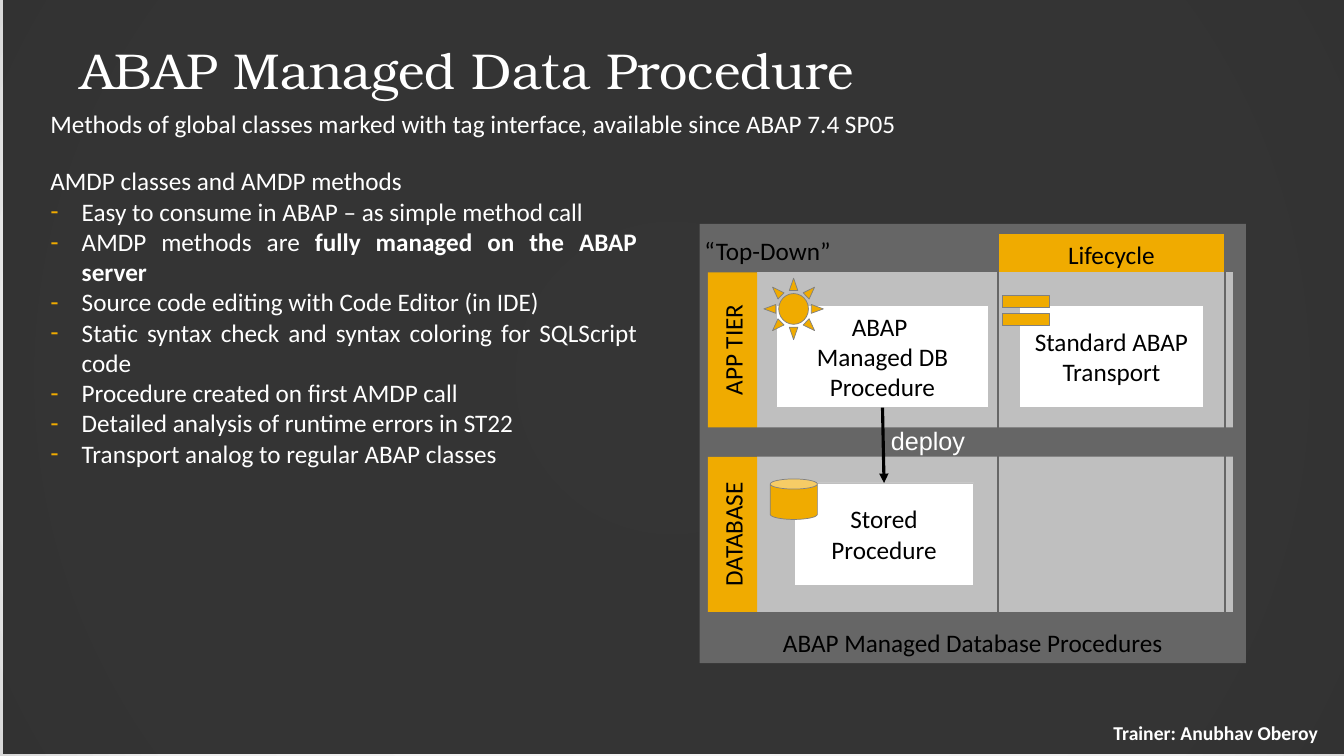
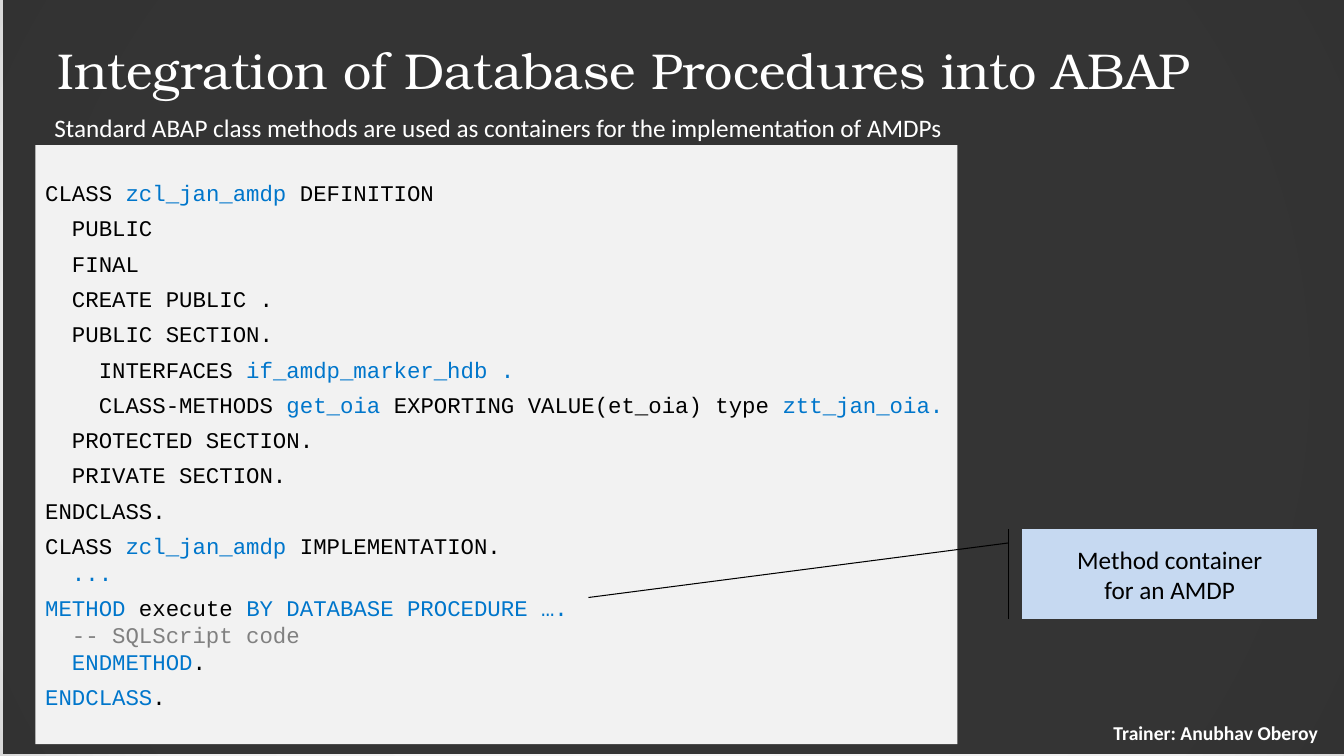
import pptx
import pptx.dml.color
import pptx.enum.dml
import pptx.enum.shapes
import pptx.enum.text
import pptx.oxml
import pptx.oxml.ns
import pptx.util
from lxml import etree

Cm, Pt, qn = pptx.util.Cm, pptx.util.Pt, pptx.oxml.ns.qn
MSO = pptx.enum.shapes.MSO_SHAPE
ALIGN, ANCHOR = pptx.enum.text.PP_ALIGN, pptx.enum.text.MSO_ANCHOR

WHITE, BLACK, DARK, AMBER = "FFFFFF", "000000", "262626", "F0AB00"
SILVER, GREY, EDGE = "BFBFBF", "808080", "666666"
BLUE, PAPER, SKY = "0076CB", "F2F2F2", "C6D9F1"
TITLE_FONT, BODY_FONT, CODE_FONT = "TeX Gyre Bonum", "Calibri", "Courier New"
NO_INSETS, NARROW, NORMAL, TALL, WIDE = (0, 0), (0.1, 0.2), (0.25, 0.13), (0.25, 0.2), (0.33, 0.18)

TRAINER = "Trainer: Anubhav Oberoy"
BACKDROP = [(0, "FFFFFF"), (81, "EEEEEE"), (100, "D9D9D9")]

PROCEDURE = {
    "title": ("ABAP Managed Data Procedure", (1.7, 0.76, 30.48, 1.98)),
    "subtitle": ("Methods of global classes marked with tag interface, available since ABAP 7.4 SP05",
                 (1.02, 2.59, 32.11, 1.02)),
}
LIST_HEAD = "AMDP classes and AMDP methods"
LIST_ITEMS = [  # (plain part, bold part)
    ("Easy to consume in ABAP – as simple method call", ""),
    ("AMDP methods are ", "fully managed on the ABAP server"),
    ("Source code editing with Code Editor (in IDE)", ""),
    ("Static syntax check and syntax coloring for SQLScript code", ""),
    ("Procedure created on first AMDP call", ""),
    ("Detailed analysis of runtime errors in ST22", ""),
    ("Transport analog to regular ABAP classes", ""),
]
LAYERS = ["APP TIER", "DATABASE"]
LAYER_LEFT, LAYER_TOP, LAYER_W, LAYER_H, LAYER_PITCH = 19.08, 6.86, 11.99, 3.91, 4.65
LABEL_H = 1.24
CARD_H = 2.57
CARDS = [  # text, left, top, width, insets
    ("ABAP \nManaged DB Procedure", 19.56, 7.7, 5.36, NARROW),
    ("Standard ABAP Transport", 25.7, 7.7, 4.62, (0.2, 0.2)),
    ("Stored Procedure", 20.02, 12.17, 4.52, TALL),
]
ICONS = [
    (MSO.SUN, (19.25, 7.01, 1.5, 1.55)),
    (MSO.MATH_EQUAL, (25.04, 7.19, 1.63, 1.27)),
    (MSO.CAN, (19.41, 12.07, 1.19, 1.02)),
]
LIFECYCLE = (25.15, 5.87, 5.72)

INTEGRATION = {
    "title": ("Integration of Database Procedures into ABAP", (1.12, 0.76, 30.84, 1.98)),
    "subtitle": ("Standard ABAP class methods are used as containers for the implementation of AMDPs",
                 (1.12, 2.69, 25.4, 1.02)),
}
CODE = [
    [("CLASS", BLACK), (" zcl_jan_amdp ", BLUE), ("DEFINITION", BLACK)],
    [("  PUBLIC", BLACK)],
    [("  FINAL", BLACK)],
    [("  CREATE PUBLIC .", BLACK)],
    [("  PUBLIC SECTION.", BLACK)],
    [("    INTERFACES", BLACK), (" if_amdp_marker_hdb .", BLUE)],
    [("    CLASS-METHODS", BLACK), (" get_oia ", BLUE),
     ("EXPORTING VALUE(et_oia) type ", BLACK), ("ztt_jan_oia.", BLUE)],
    [("  PROTECTED SECTION.", BLACK)],
    [("  PRIVATE SECTION.", BLACK)],
    [("ENDCLASS.", BLACK)],
    [("CLASS", BLACK), (" zcl_jan_amdp ", BLUE), ("IMPLEMENTATION.\n", BLACK), ("  ...", BLUE)],
    [("METHOD", BLUE), (" execute ", BLACK), ("BY DATABASE PROCEDURE ….\n", BLUE),
     ("  -- SQLScript code\n", GREY), ("  ENDMETHOD", BLUE), (".", BLACK)],
    [("ENDCLASS", BLUE), (".", BLACK)],
]
CALLOUT = "Method container\nfor an AMDP"
CALLOUT_POINTS = (0.151, -0.045, 0.76, -1.469)


def rgb(hex_colour):
    return pptx.dml.color.RGBColor.from_string(hex_colour)


def write(p, text, colour=BLACK, size=18, font=BODY_FONT, bold=False):
    """Add text to a paragraph, turning each newline into a line break."""
    for i, part in enumerate(text.split("\n")):
        if i:
            p.add_line_break()
        if part:
            r = p.add_run()
            r.text = part
            r.font.name, r.font.size, r.font.bold = font, Pt(size), bold
            r.font.color.rgb = rgb(colour)


def set_frame(sp, insets=NORMAL, anchor=ANCHOR.MIDDLE, wrap=True):
    tf = sp.text_frame
    tf.auto_size = pptx.enum.text.MSO_AUTO_SIZE.NONE
    tf.word_wrap, tf.vertical_anchor = wrap, anchor
    tf.margin_left = tf.margin_right = Cm(insets[0])
    tf.margin_top = tf.margin_bottom = Cm(insets[1])
    return tf


def place(sp, box):
    sp.left, sp.top, sp.width, sp.height = map(Cm, box)


def add_text(s, text, box, insets=NORMAL, anchor=ANCHOR.TOP, align=ALIGN.LEFT, wrap=True, **style):
    p = set_frame(s.shapes.add_textbox(*map(Cm, box)), insets, anchor, wrap).paragraphs[0]
    p.alignment = align
    write(p, text, **style)


def add_shape(s, kind, box, fill=None, line=None, line_width=0.5, alpha=None,
              text="", insets=NORMAL, anchor=ANCHOR.MIDDLE):
    sp = s.shapes.add_shape(kind, *map(Cm, box))
    sp.shadow.inherit = False
    if fill:
        sp.fill.solid()
        sp.fill.fore_color.rgb = rgb(fill)
    else:
        sp.fill.background()
    if alpha:
        colour = sp.element.xpath("./p:spPr/a:solidFill/a:srgbClr")[0]
        etree.SubElement(colour, qn("a:alpha"), val=str(alpha * 1000))
    if line:
        sp.line.color.rgb = rgb(line)
        sp.line.width = Pt(line_width)
    else:
        sp.line.fill.background()
    if text:
        p = set_frame(sp, insets, anchor).paragraphs[0]
        p.alignment = ALIGN.CENTER
        write(p, text)
    return sp


def set_backdrop(master):
    """Give the master a circular gradient background."""
    master.background.fill.gradient()
    grad = master.element.xpath(".//p:bgPr/a:gradFill")[0]
    for child in list(grad):
        grad.remove(child)
    stops = etree.SubElement(grad, qn("a:gsLst"))
    for position, colour in BACKDROP:
        stop = etree.SubElement(stops, qn("a:gs"), pos=str(position * 1000))
        etree.SubElement(stop, qn("a:srgbClr"), val=colour)
    circle = etree.SubElement(grad, qn("a:path"), path="circle")
    etree.SubElement(circle, qn("a:fillToRect"), {side: "50000" for side in "ltrb"})


def add_slide(prs, layout, content):
    s = prs.slides.add_slide(prs.slide_layouts[layout])
    title = s.shapes.title
    veil = add_shape(s, MSO.RECTANGLE, (0.08, -0.05, 33.87, 19.05), DARK, alpha=93)
    title.element.addprevious(veil.element)
    text, box = content["title"]
    place(title, box)
    p = set_frame(title, WIDE).paragraphs[0]
    p.alignment = ALIGN.LEFT
    write(p, text, WHITE, 36, TITLE_FONT)
    add_text(s, TRAINER, (27.53, 17.98, 6.22, 0.99), WIDE, ANCHOR.MIDDLE, ALIGN.CENTER,
             colour=WHITE, size=14, bold=True)
    add_text(s, *content["subtitle"], colour=WHITE)
    return s


def set_bullet(p, indent, char=None):
    pPr = p._p.get_or_add_pPr()
    pPr.set("marL", str(Cm(indent)))
    pPr.set("indent", str(-Cm(indent)))
    if char:
        colour = etree.SubElement(pPr, qn("a:buClr"))
        etree.SubElement(colour, qn("a:srgbClr"), val=AMBER)
        etree.SubElement(pPr, qn("a:buChar"), char=char)
    else:
        etree.SubElement(pPr, qn("a:buNone"))


def fill_list(body):
    place(body, (1.02, 4.06, 15.29, 7.85))
    tf = set_frame(body)
    for i, (plain, bold) in enumerate([(LIST_HEAD, "")] + LIST_ITEMS):
        p = tf.add_paragraph() if i else tf.paragraphs[0]
        if i:
            set_bullet(p, 0.79, "-")
        else:
            set_bullet(p, 0.5)
        p.alignment, p.space_before = ALIGN.JUSTIFY, Pt(0)
        write(p, plain, WHITE)
        write(p, bold, WHITE, bold=True)


def add_arrow(s, start, end):
    """Join the bottom of one shape to the top of another."""
    c = s.shapes.add_connector(pptx.enum.shapes.MSO_CONNECTOR.STRAIGHT, 0, 0, 0, 0)
    c.begin_connect(start, 2)
    c.end_connect(end, 0)
    c.line.color.rgb = rgb(BLACK)
    c.line.width = Pt(2.25)
    spPr = c.element.spPr
    etree.SubElement(spPr.find(qn("a:ln")), qn("a:tailEnd"), type="triangle")
    etree.SubElement(spPr, qn("a:effectLst"))


def add_diagram(s):
    add_shape(s, MSO.RECTANGLE, (17.63, 5.64, 13.77, 11.07), SILVER, alpha=36,
              text="ABAP Managed Database Procedures", anchor=ANCHOR.BOTTOM)
    add_text(s, "“Top-Down”", (17.75, 5.92, 3.38, 0.76), NO_INSETS, wrap=False)
    add_shape(s, MSO.RECTANGLE, (*LIFECYCLE, 1.07), AMBER, text="Lifecycle", insets=NO_INSETS)
    for i, name in enumerate(LAYERS):
        top = LAYER_TOP + i * LAYER_PITCH
        add_shape(s, MSO.RECTANGLE, (LAYER_LEFT, top, LAYER_W, LAYER_H), SILVER)
        label_box = (LAYER_LEFT - (LAYER_H + LABEL_H) / 2, top + (LAYER_H - LABEL_H) / 2,
                     LAYER_H, LABEL_H)
        add_shape(s, MSO.RECTANGLE, label_box, AMBER, text=name, insets=(0.3, 0.23)).rotation = 270
    managed, _, stored = [
        add_shape(s, MSO.RECTANGLE, (left, top, width, CARD_H), WHITE, SILVER, text=text, insets=insets)
        for text, left, top, width, insets in CARDS]
    for kind, box in ICONS:
        add_shape(s, kind, box, AMBER, GREY)
    add_arrow(s, managed, stored)
    add_text(s, "deploy", (22.45, 10.72, 2.13, 0.71), NO_INSETS, colour=WHITE, font="Arial")
    add_shape(s, MSO.RECTANGLE, (*LIFECYCLE, 9.75), line=EDGE, line_width=1)


def add_code(s):
    sp = add_shape(s, MSO.RECTANGLE, (0.89, 3.66, 23.24, 15.09), PAPER)
    tf = set_frame(sp, TALL)
    for i, parts in enumerate(CODE):
        p = tf.add_paragraph() if i else tf.paragraphs[0]
        p.alignment = ALIGN.LEFT
        p.space_before = Pt(6 if i else 0)
        for text, colour in parts:
            write(p, text, colour, 16, CODE_FONT)


def main():
    prs = pptx.Presentation()
    prs.slide_width, prs.slide_height = Cm(33.87), Cm(19.05)
    set_backdrop(prs.slide_master)

    s = add_slide(prs, 1, PROCEDURE)
    fill_list(s.placeholders[1])
    add_diagram(s)

    s = add_slide(prs, 5, INTEGRATION)
    add_code(s)
    callout = add_shape(s, MSO.LINE_CALLOUT_1_ACCENT_BAR, (25.76, 13.34, 7.44, 2.26), SKY,
                        BLACK, 0.75, text=CALLOUT, insets=NARROW)
    for i, value in enumerate(CALLOUT_POINTS):
        callout.adjustments[i] = value

    prs.save("out.pptx")


if __name__ == "__main__":
    main()
